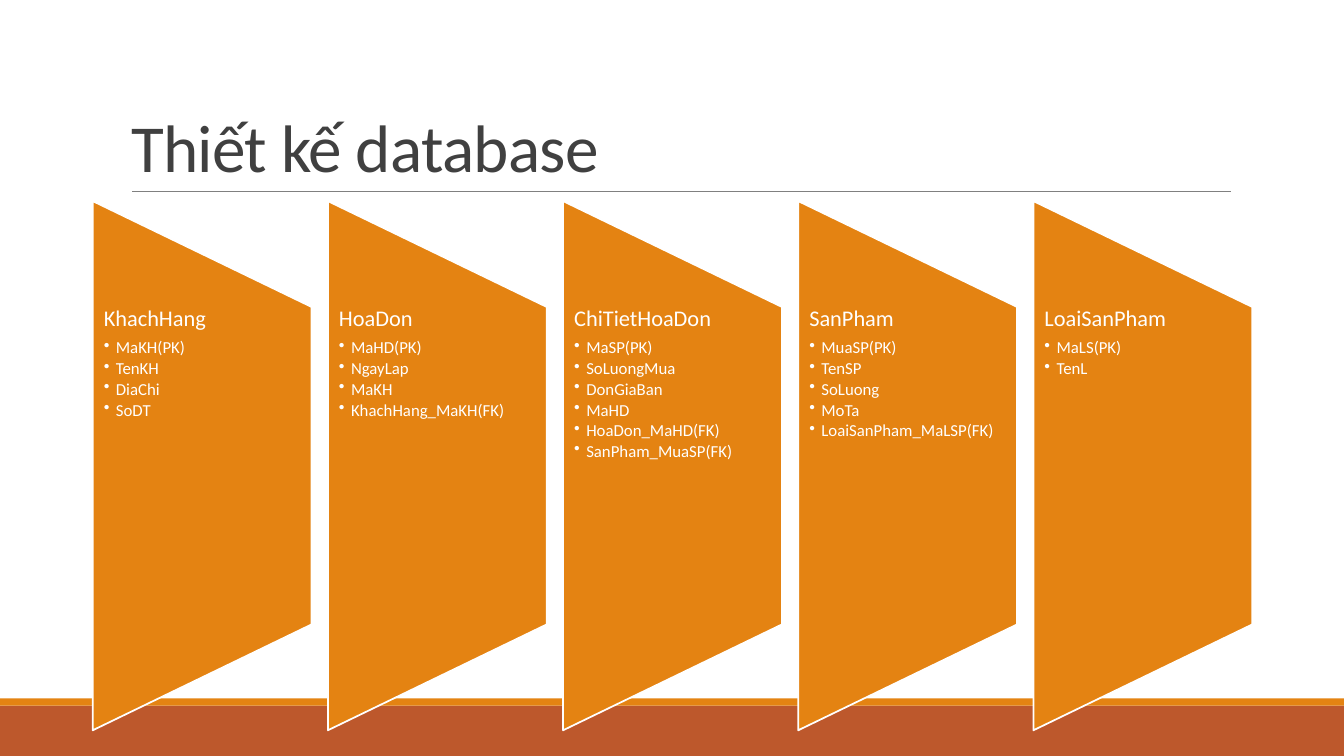
from lxml import etree
from pptx import Presentation
from pptx import util as u
from pptx.dml.color import RGBColor
from pptx.enum import shapes, text
from pptx.oxml.ns import qn

WIDTH, HEIGHT = 13.33, 7.5
FIRST, LAST, PANEL_WIDTH = 0.92, 10.25, 2.17  # left edges of outer columns
ORANGE, RUST, WHITE = "E48312", "BD582C", "FFFFFF"

TABLES = {
    "KhachHang": ["MaKH(PK)", "TenKH", "DiaChi", "SoDT"],
    "HoaDon": ["MaHD(PK)", "NgayLap", "MaKH", "KhachHang_MaKH(FK)"],
    "ChiTietHoaDon": ["MaSP(PK)", "SoLuongMua", "DonGiaBan", "MaHD",
                      "HoaDon_MaHD(FK)", "SanPham_MuaSP(FK)"],
    "SanPham": ["MuaSP(PK)", "TenSP", "SoLuong", "MoTa",
                "LoaiSanPham_MaLSP(FK)"],
    "LoaiSanPham": ["MaLS(PK)", "TenL"],
}


def color(value):
    return RGBColor.from_string(value)


def inches(*lengths):
    return [u.Inches(length) for length in lengths]


class SlideBuilder:
    """Holds the font and the page, and adds each kind of element."""

    font = "Calibri"

    def __init__(self, page):
        self.page = page

    def style(self, para, size, ink, spacing):
        para.line_spacing = spacing
        para.font.name = self.font
        para.font.size = u.Pt(size)
        para.font.color.rgb = color(ink)

    def shape(self, kind, left, top, width, height, fill, line=None):
        shape = self.page.shapes.add_shape(
            kind, *inches(left, top, width, height))
        shape.shadow.inherit = False
        shape.fill.solid()
        shape.fill.fore_color.rgb = color(fill)
        if line:
            shape.line.color.rgb = color(line)
            shape.line.width = u.Pt(1.25)
        else:
            shape.line.fill.background()
        return shape

    def band(self, top, height, fill):
        self.shape(shapes.MSO_SHAPE.RECTANGLE, 0, top, WIDTH, height, fill)

    def rule(self, left, right, y):
        line = self.page.shapes.add_connector(
            shapes.MSO_CONNECTOR.STRAIGHT, *inches(left, y, right, y))
        line.line.color.rgb = color("808080")
        line.line.width = u.Pt(0.5)
        etree.SubElement(line._element.spPr, qn("a:effectLst"))

    def title(self, words):
        title = self.page.shapes.title
        title.left, title.top, title.width, title.height = inches(
            1.2, 0.31, 11, 1.59)
        frame = title.text_frame
        frame.auto_size = text.MSO_AUTO_SIZE.NONE
        frame.vertical_anchor = text.MSO_ANCHOR.BOTTOM
        para = frame.paragraphs[0]
        para.alignment = text.PP_ALIGN.LEFT
        span = para.add_run()
        span.text = words
        span._r.get_or_add_rPr().set("spc", "-50")
        self.style(para, 48, "404040", 0.85)

    def panel(self, column, name, fields):
        """Add one database table: a sideways trapezoid and its text."""
        left = FIRST + column * (LAST - FIRST) / (len(TABLES) - 1)
        length, middle = 5.25, 4.62
        trapezoid = self.shape(
            shapes.MSO_SHAPE.FLOWCHART_MANUAL_OPERATION,
            left + (PANEL_WIDTH - length) / 2, middle - PANEL_WIDTH / 2,
            length, PANEL_WIDTH, ORANGE, WHITE)
        trapezoid.rotation = 270

        box = self.page.shapes.add_textbox(
            *inches(left, 3.05, PANEL_WIDTH, 3.15))
        frame = box.text_frame
        frame.word_wrap = True
        frame.margin_left = frame.margin_right = u.Inches(0.11)
        frame.margin_top = frame.margin_bottom = 0
        heading = frame.paragraphs[0]
        heading.text = name
        heading.space_after = u.Pt(5.6)
        self.style(heading, 16, WHITE, 0.9)
        for field in fields:
            self.bullet(frame.add_paragraph(), field)

    def bullet(self, para, words):
        para.text = words
        para.level = 1
        para.space_after = u.Pt(1.8)
        self.style(para, 12, WHITE, 0.9)
        properties = para._p.get_or_add_pPr()
        indent = u.Inches(0.12)
        properties.set("marL", str(indent))
        properties.set("indent", str(-indent))
        mark = etree.Element(qn("a:buChar"), char="•")
        properties.find(qn("a:defRPr")).addprevious(mark)


def main():
    deck = Presentation()
    deck.slide_width, deck.slide_height = inches(WIDTH, HEIGHT)
    builder = SlideBuilder(deck.slides.add_slide(deck.slide_layouts[5]))
    builder.band(7, 0.5, RUST)
    builder.band(6.93, 0.07, ORANGE)
    builder.rule(1.31, 12.21, 1.9)
    builder.title("Thiết kế database")
    for column, (name, fields) in enumerate(TABLES.items()):
        builder.panel(column, name, fields)
    deck.save("out.pptx")


if __name__ == "__main__":
    main()
